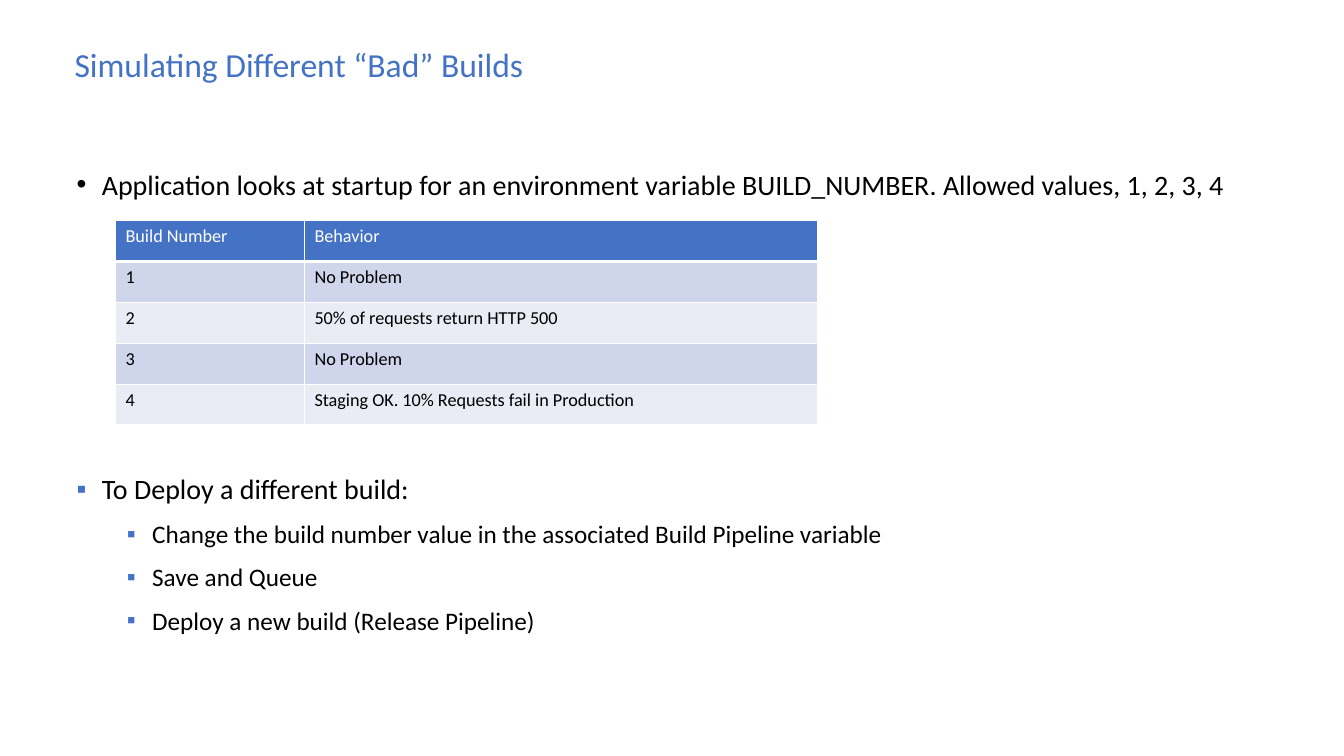
from dataclasses import dataclass
from typing import Optional

from pptx import Presentation
from pptx.dml.color import RGBColor
from pptx.enum.text import MSO_ANCHOR
from pptx.oxml.ns import qn
from pptx.util import Emu, Pt
from lxml.etree import SubElement

EMU_PER_PX = 9525
FONT = "Calibri"
BLUE = RGBColor(0x44, 0x72, 0xC4)
BLACK = RGBColor(0x00, 0x00, 0x00)
WHITE = RGBColor(0xFF, 0xFF, 0xFF)
BAND_DARK = RGBColor(0xCF, 0xD5, 0xEA)
BAND_LIGHT = RGBColor(0xE9, 0xEB, 0xF5)
BULLET_INDENT = 24
LEVEL_STEP = 48


@dataclass
class Line:
    text: str
    size: int
    color: RGBColor = BLACK
    bullet: str = ""
    bullet_color: Optional[RGBColor] = None
    level: int = 0
    space_before: int = 0


@dataclass
class TextBlock:
    left: int
    top: int
    width: int
    height: int
    lines: list[Line]
    anchor: MSO_ANCHOR = MSO_ANCHOR.TOP


def px(value: int) -> Emu:
    return Emu(value * EMU_PER_PX)


def add_run(paragraph, text: str, size: int, color: RGBColor) -> None:
    run = paragraph.add_run()
    run.text = text
    for name, value in {"name": FONT, "size": Pt(size), "bold": False}.items():
        setattr(run.font, name, value)
    run.font.color.rgb = color


def add_bullet(paragraph, line: Line) -> None:
    properties = paragraph._p.get_or_add_pPr()
    properties.set("marL", str(px(BULLET_INDENT + LEVEL_STEP * line.level)))
    properties.set("indent", str(px(-BULLET_INDENT)))
    if line.bullet_color is not None:
        color = SubElement(properties, qn("a:buClr"))
        SubElement(color, qn("a:srgbClr"), val=str(line.bullet_color))
    SubElement(properties, qn("a:buFont"), typeface="Arial")
    SubElement(properties, qn("a:buChar"), char=line.bullet)


def add_text_block(slide, block: TextBlock) -> None:
    box = slide.shapes.add_textbox(
        px(block.left), px(block.top), px(block.width), px(block.height))
    frame = box.text_frame
    frame_format = {
        "word_wrap": True, "vertical_anchor": block.anchor,
        "margin_left": 0, "margin_top": 0, "margin_right": 0, "margin_bottom": 0,
    }
    for name, value in frame_format.items():
        setattr(frame, name, value)
    for index, line in enumerate(block.lines):
        paragraph = frame.add_paragraph() if index else frame.paragraphs[0]
        paragraph.level = line.level
        paragraph.line_spacing = 1.2
        paragraph.space_before = Pt(line.space_before)
        if line.bullet:
            add_bullet(paragraph, line)
        add_run(paragraph, line.text, line.size, line.color)


def add_border(cell, side: str, points: int) -> None:
    border = SubElement(cell._tc.get_or_add_tcPr(), qn(f"a:ln{side}"), w=str(Pt(points)))
    fill = SubElement(border, qn("a:solidFill"))
    SubElement(fill, qn("a:srgbClr"), val=str(WHITE))


def add_build_table(slide, left: int, top: int, column_widths: list[int],
                    row_height: int, rows: list[tuple[str, str]]) -> None:
    table = slide.shapes.add_table(
        len(rows), len(column_widths), px(left), px(top),
        px(sum(column_widths)), px(row_height * len(rows))).table
    for column, width in zip(table.columns, column_widths):
        column.width = px(width)
    for row_index, values in enumerate(rows):
        table.rows[row_index].height = px(row_height)
        is_header = row_index == 0
        band = BLUE if is_header else BAND_DARK if row_index % 2 else BAND_LIGHT
        # The header's thick rule also serves as the top of the first band
        borders = {"L": 1, "R": 1, "T": 1, "B": 3} if is_header else {"L": 1, "R": 1, "B": 1}
        for column_index, value in enumerate(values):
            cell = table.cell(row_index, column_index)
            for side, points in borders.items():
                add_border(cell, side, points)
            cell.fill.solid()
            cell.fill.fore_color.rgb = band
            add_run(cell.text_frame.paragraphs[0], value, 13, WHITE if is_header else BLACK)


TITLE = TextBlock(71, 22, 1131, 70, [
    Line("Simulating Different “Bad” Builds", 24, BLUE),
], MSO_ANCHOR.MIDDLE)

STARTUP = TextBlock(73, 153, 1131, 51, [
    Line("Application looks at startup for an environment variable BUILD_NUMBER. "
         "Allowed values, 1, 2, 3, 4", 20, bullet="•"),
])

DEPLOY_STEPS = [
    "Change the build number value in the associated Build Pipeline variable",
    "Save and Queue",
    "Deploy a new build (Release Pipeline)",
]
DEPLOY = TextBlock(73, 443, 1131, 51, [
    Line("To Deploy a different build:", 20, bullet="▪", bullet_color=BLUE),
    *(Line(step, 18, bullet="▪", bullet_color=BLUE, level=1, space_before=5)
      for step in DEPLOY_STEPS),
])

BUILDS = [
    ("Build Number", "Behavior"),
    ("1", "No Problem"),
    ("2", "50% of requests return HTTP 500"),
    ("3", "No Problem"),
    ("4", "Staging OK. 10% Requests fail in Production"),
]


def main() -> None:
    deck = Presentation()
    deck.slide_width, deck.slide_height = px(1280), px(720)
    slide = deck.slides.add_slide(deck.slide_layouts[6])

    # Title and startup rule
    add_text_block(slide, TITLE)
    add_text_block(slide, STARTUP)

    # Behavior of each build number
    add_build_table(slide, 110, 210, [180, 489], 39, BUILDS)

    # Deployment steps
    add_text_block(slide, DEPLOY)

    deck.save("out.pptx")


if __name__ == "__main__":
    main()
